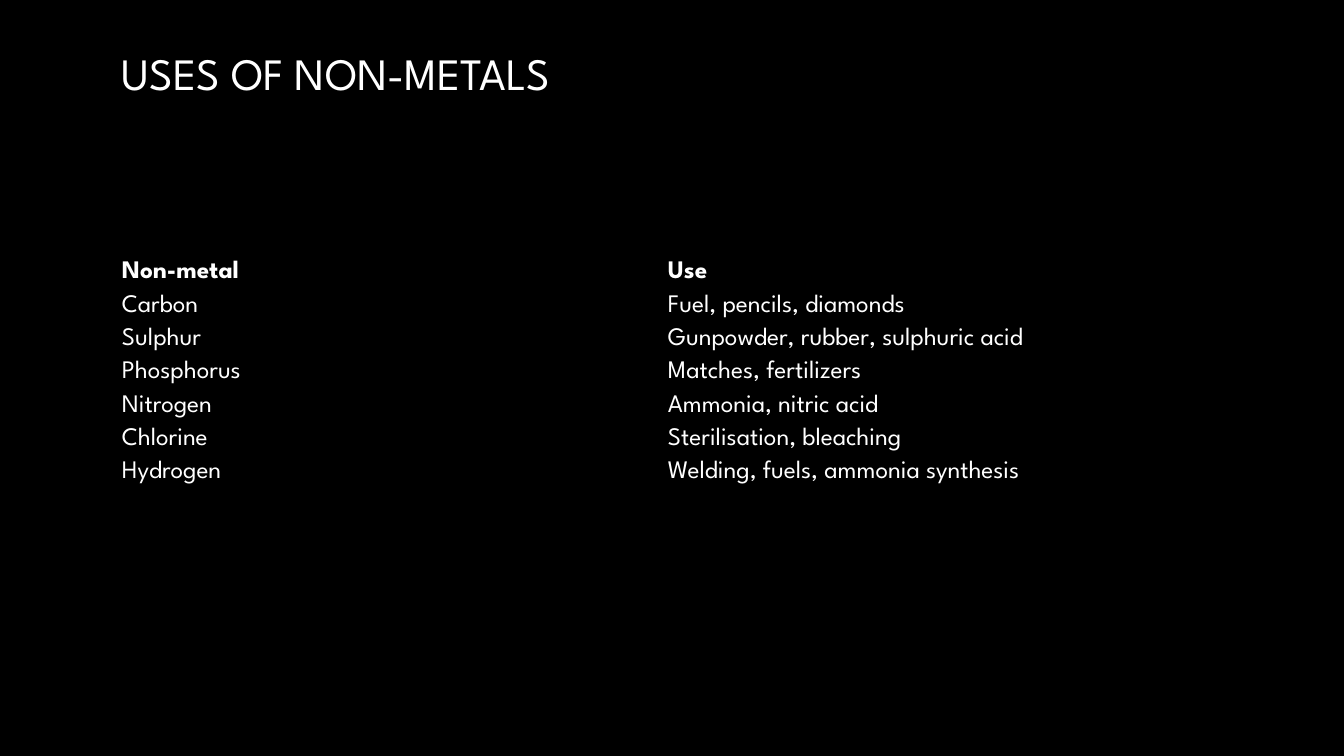
from dataclasses import dataclass

from pptx import Presentation
from pptx.dml.color import RGBColor
from pptx.enum import text
from pptx.oxml import ns
from pptx.util import Inches, Pt


@dataclass(frozen=True)
class Theme:
    """Colours, font and type sizes of the slide."""
    background: RGBColor = RGBColor(0, 0, 0)
    foreground: RGBColor = RGBColor(255, 255, 255)
    title_shade: RGBColor = RGBColor(166, 166, 166)
    font: str = "League Spartan"
    title_size: Pt = Pt(32)
    table_size: Pt = Pt(18)


THEME = Theme()
LEFT, WIDTH = Inches(1.11), Inches(10.83)
ROW_HEIGHT = Inches(0.33)
PLAIN_TABLE_STYLE = "{2D5ABB26-0587-4C30-8999-92F81FD0307C}"
USES = [
    ("Non-metal", "Use"),
    ("Carbon", "Fuel, pencils, diamonds"),
    ("Sulphur", "Gunpowder, rubber, sulphuric acid"),
    ("Phosphorus", "Matches, fertilizers"),
    ("Nitrogen", "Ammonia, nitric acid"),
    ("Chlorine", "Sterilisation, bleaching"),
    ("Hydrogen", "Welding, fuels, ammonia synthesis"),
]


def set_background(slide):
    """Fill the slide with the background colour."""
    fill = slide.background.fill
    fill.solid()
    fill.fore_color.rgb = THEME.background


def add_title(slide, wording):
    """Place the title with its shaded lettering."""
    title = slide.shapes.title
    title.left, title.top = LEFT, Inches(-0.32)
    title.width, title.height = WIDTH, Inches(2.08)
    frame = title.text_frame
    frame.text = wording
    frame.vertical_anchor = text.MSO_ANCHOR.MIDDLE
    paragraph = frame.paragraphs[0]
    paragraph.alignment = text.PP_ALIGN.LEFT
    font = paragraph.runs[0].font
    font.name, font.size = THEME.font, THEME.title_size
    font.fill.gradient()
    font.fill.gradient_angle = 267
    colours = (THEME.foreground, THEME.title_shade)
    for stop, colour in zip(font.fill.gradient_stops, colours):
        stop.color.rgb = colour


def fill_cell(cell, wording, bold):
    """Write one table cell on a clear ground."""
    cell.fill.background()
    cell.vertical_anchor = text.MSO_ANCHOR.MIDDLE
    cell.text_frame.text = wording
    font = cell.text_frame.paragraphs[0].runs[0].font
    font.name, font.size, font.bold = THEME.font, THEME.table_size, bold
    font.color.rgb = THEME.foreground


def add_table(slide, rows):
    """Add a plain table with a bold heading row."""
    frame = slide.shapes.add_table(
        len(rows), len(rows[0]), LEFT, Inches(2.54), WIDTH, ROW_HEIGHT * len(rows))
    table = frame.table
    table.horz_banding = False
    style = frame._element.find(".//" + ns.qn("a:tableStyleId"))
    style.text = PLAIN_TABLE_STYLE
    for row_index, row in enumerate(rows):
        for column_index, wording in enumerate(row):
            fill_cell(table.cell(row_index, column_index), wording, row_index == 0)


def main():
    """Build and save the slide."""
    presentation = Presentation()
    presentation.slide_width = Inches(13.33)
    presentation.slide_height = Inches(7.5)
    slide = presentation.slides.add_slide(presentation.slide_layouts[5])
    set_background(slide)
    add_title(slide, "USES OF NON-METALS")
    add_table(slide, USES)
    presentation.save("out.pptx")


if __name__ == "__main__":
    main()
